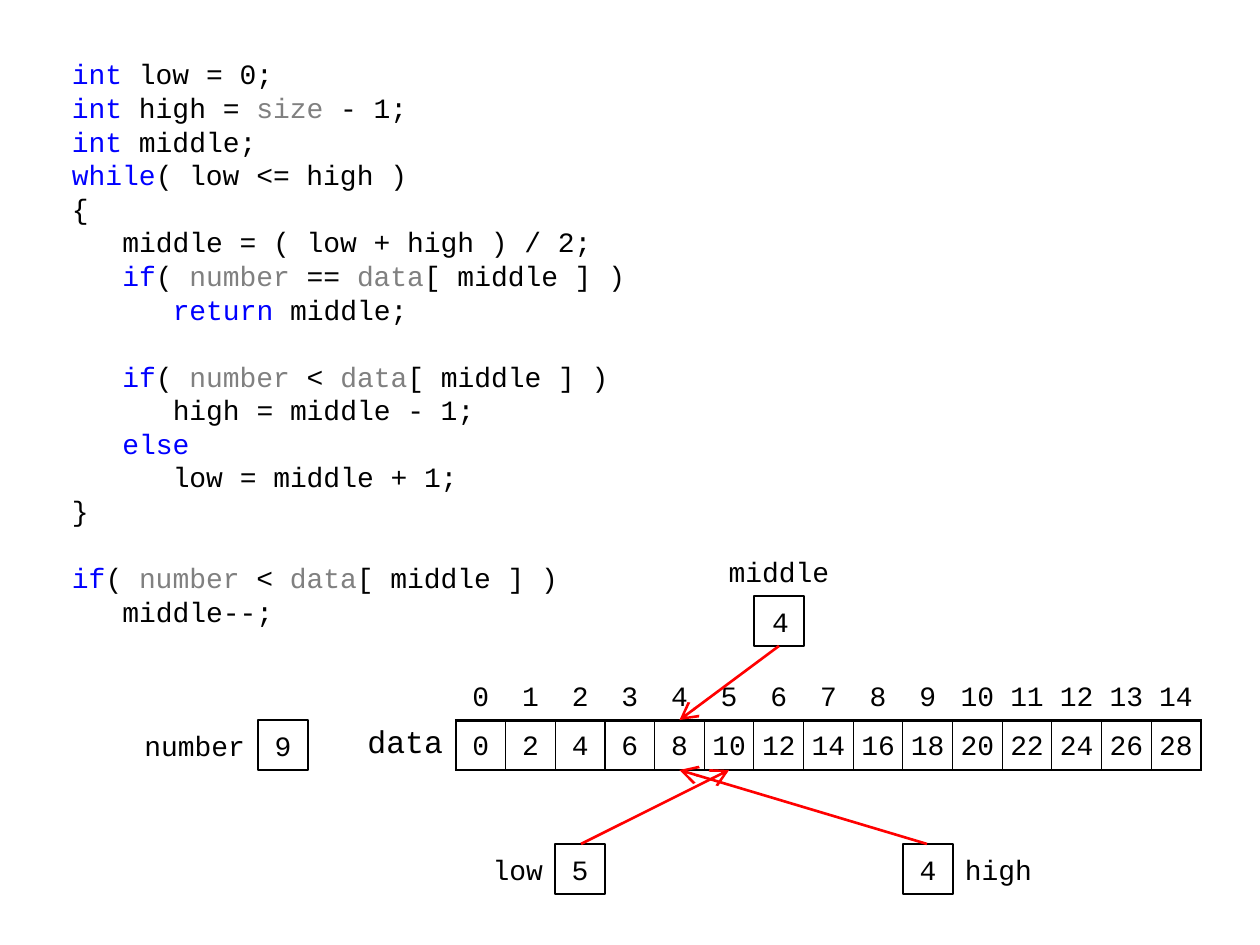
from itertools import groupby

from lxml.etree import SubElement
from pptx import Presentation
from pptx.dml.color import RGBColor
from pptx.enum.shapes import MSO_CONNECTOR, MSO_SHAPE
from pptx.enum.text import MSO_ANCHOR, PP_ALIGN
from pptx.oxml import parse_xml
from pptx.oxml.ns import nsdecls, qn
from pptx.util import Emu, Pt

FONT = "Courier New"
BLACK, WHITE, RED, BLUE, GREY = "000000", "FFFFFF", "FF0000", "0000FF", "808080"
WORD_COLORS = {
    **dict.fromkeys(["int", "while", "if", "return", "else"], BLUE),
    **dict.fromkeys(["size", "number", "data"], GREY),
}
CODE = [
    (0, "int low = 0;"),
    (0, "int high = size - 1;"),
    (0, "int middle;"),
    (0, "while( low <= high )"),
    (0, "{"),
    (1, "middle = ( low + high ) / 2;"),
    (1, "if( number == data[ middle ] )"),
    (2, "return middle;"),
    (1, "if( number < data[ middle ] )"),
    (2, "high = middle - 1;"),
    (1, "else"),
    (2, "low = middle + 1;"),
    (0, "}"),
    (0, "if( number < data[ middle ] )"),
    (1, "middle--;"),
]
LINES_AFTER_GAP = {8, 13}
LINE_PITCH = 19.2
COUNT = 15
ARRAY_LEFT, ARRAY_WIDTH, ARRAY_TOP, ARRAY_BOTTOM = 456, 745, 720, 770
BOX = 50


def px(pixels):
    """Turn picture pixels into EMU."""
    return Emu(round(pixels * 914400 / 126))


def color(value):
    """Turn a hex string into a colour."""
    return RGBColor.from_string(value)


def apply(target, formats):
    """Set every attribute named in a dict of format values."""
    for name, value in formats.items():
        setattr(target, name, value)


def insets(left, top, right, bottom):
    """Return text margins as format values."""
    return {"margin_left": px(left), "margin_top": px(top),
            "margin_right": px(right), "margin_bottom": px(bottom)}


def add_run(paragraph, text, size=16, ink=BLACK):
    """Append a run in the code font."""
    run = paragraph.add_run()
    run.text = text
    apply(run.font, {"name": FONT, "size": Pt(size)})
    run.font.color.rgb = color(ink)


def add_code(slide):
    """Add the program listing with coloured words."""
    frame = slide.shapes.add_textbox(px(59), px(50), px(596), px(596)).text_frame
    apply(frame, {"word_wrap": True, **insets(13, 7, 13, 6)})
    for number, (level, line) in enumerate(CODE):
        paragraph = frame.add_paragraph() if number else frame.paragraphs[0]
        apply(paragraph, {"line_spacing": Pt(LINE_PITCH), "space_after": Pt(0),
                          "space_before": Pt(LINE_PITCH if number in LINES_AFTER_GAP else 0)})
        properties = paragraph._p.get_or_add_pPr()
        properties.set("marL", str(Pt(28.8 * level)))
        properties.set("indent", "0")
        words = ["".join(letters) for _, letters in groupby(line, str.isalpha)]
        for ink, part in groupby(words, lambda word: WORD_COLORS.get(word, BLACK)):
            add_run(paragraph, "".join(part), ink=ink)


def set_borders(cell, widths):
    """Draw the cell edges that have a width and clear the others."""
    properties = cell._tc.get_or_add_tcPr()
    for position, edge in enumerate("LRTB"):
        width = widths.get(edge, 0)
        paint = f'<a:solidFill><a:srgbClr val="{BLACK}"/></a:solidFill>' if width else "<a:noFill/>"
        properties.insert(position, parse_xml(
            f'<a:ln{edge} {nsdecls("a")} w="{Pt(width)}">{paint}</a:ln{edge}>'))


def fill_cell(cell, text, borders, size=16, align=PP_ALIGN.CENTER,
              anchor=MSO_ANCHOR.MIDDLE, margins=(0, 0, 0, 0)):
    """Write and frame one table cell."""
    apply(cell, {"vertical_anchor": anchor, **insets(*margins)})
    cell.fill.background()
    set_borders(cell, borders)
    if text:
        paragraph = cell.text_frame.paragraphs[0]
        apply(paragraph, {"alignment": align, "line_spacing": 1.2,
                          "space_before": Pt(size * 0.2)})
        add_run(paragraph, text, size)


def add_array(slide):
    """Add the data array under its row of indexes."""
    cell_size = px(ARRAY_WIDTH / COUNT)
    name_width = px(99)
    table = slide.shapes.add_table(
        2, COUNT + 1, px(ARRAY_LEFT) - name_width, px(ARRAY_TOP) - cell_size + px(0.5),
        name_width + cell_size * COUNT, cell_size * 2).table
    apply(table, {"first_row": False, "horz_banding": False})
    for row in table.rows:
        row.height = cell_size
    table.columns[0].width = name_width
    fill_cell(table.cell(0, 0), "", {})
    fill_cell(table.cell(1, 0), "data", {"R": 1.5}, 18, PP_ALIGN.RIGHT,
              MSO_ANCHOR.TOP, (10, 0, 13, 0))
    for index in range(COUNT):
        column = index + 1
        table.columns[column].width = cell_size
        fill_cell(table.cell(0, column), str(index), {"B": 1.5})
        fill_cell(table.cell(1, column), str(2 * index),
                  {"L": 0.75 if index else 1.5, "T": 1.5, "B": 1.5,
                   "R": 0.75 if column < COUNT else 1.5})


def write(shape, text, align, margins, wrap):
    """Put one line of text in a shape."""
    frame = shape.text_frame
    apply(frame, {"word_wrap": wrap, "vertical_anchor": MSO_ANCHOR.MIDDLE, **insets(*margins)})
    frame.paragraphs[0].alignment = align
    add_run(frame.paragraphs[0], text)


def add_variable(slide, name, value, box, label, align, margins=(13, 6, 13, 5)):
    """Add a variable's value box and its name."""
    square = slide.shapes.add_shape(MSO_SHAPE.RECTANGLE, *map(px, (*box, BOX, BOX)))
    square.shadow.inherit = False
    square.fill.solid()
    square.fill.fore_color.rgb = color(WHITE)
    square.line.color.rgb = color(BLACK)
    square.line.width = Pt(1.5)
    write(square, value, PP_ALIGN.CENTER, margins, True)
    caption = slide.shapes.add_textbox(*map(px, (*label, BOX)))
    write(caption, name, align, (13, 6, 13, 6), False)


def add_pointer(slide, start, index, edge):
    """Add a red arrow from a variable to an array cell."""
    target = ARRAY_LEFT + (index + 0.5) * ARRAY_WIDTH / COUNT
    arrow = slide.shapes.add_connector(MSO_CONNECTOR.STRAIGHT, *map(px, (*start, target, edge)))
    arrow.line.color.rgb = color(RED)
    arrow.line.width = Pt(1.5)
    SubElement(arrow.line._get_or_add_ln(), qn("a:tailEnd"), type="arrow", w="lg", len="lg")
    SubElement(arrow._element.spPr, qn("a:effectLst"))


def main():
    """Build the binary search slide."""
    deck = Presentation()
    apply(deck, {"slide_width": px(1260), "slide_height": px(945)})
    slide = deck.slides.add_slide(deck.slide_layouts[6])
    add_code(slide)
    add_array(slide)
    add_variable(slide, "middle", "4", (754, 596), (699, 546, 160), PP_ALIGN.CENTER,
                 (13, 6, 10, 5))
    add_variable(slide, "low", "5", (555, 844), (466, 844, 90), PP_ALIGN.RIGHT)
    add_variable(slide, "high", "4", (903, 844), (952, 844, 110), PP_ALIGN.LEFT, (5, 6, 5, 5))
    add_variable(slide, "number", "9", (258, 720), (118, 720, 140), PP_ALIGN.RIGHT)
    add_pointer(slide, (581, 844), 5, ARRAY_BOTTOM)
    add_pointer(slide, (927, 844), 4, ARRAY_BOTTOM)
    add_pointer(slide, (779, 646), 4, ARRAY_TOP)
    deck.save("out.pptx")


main()
